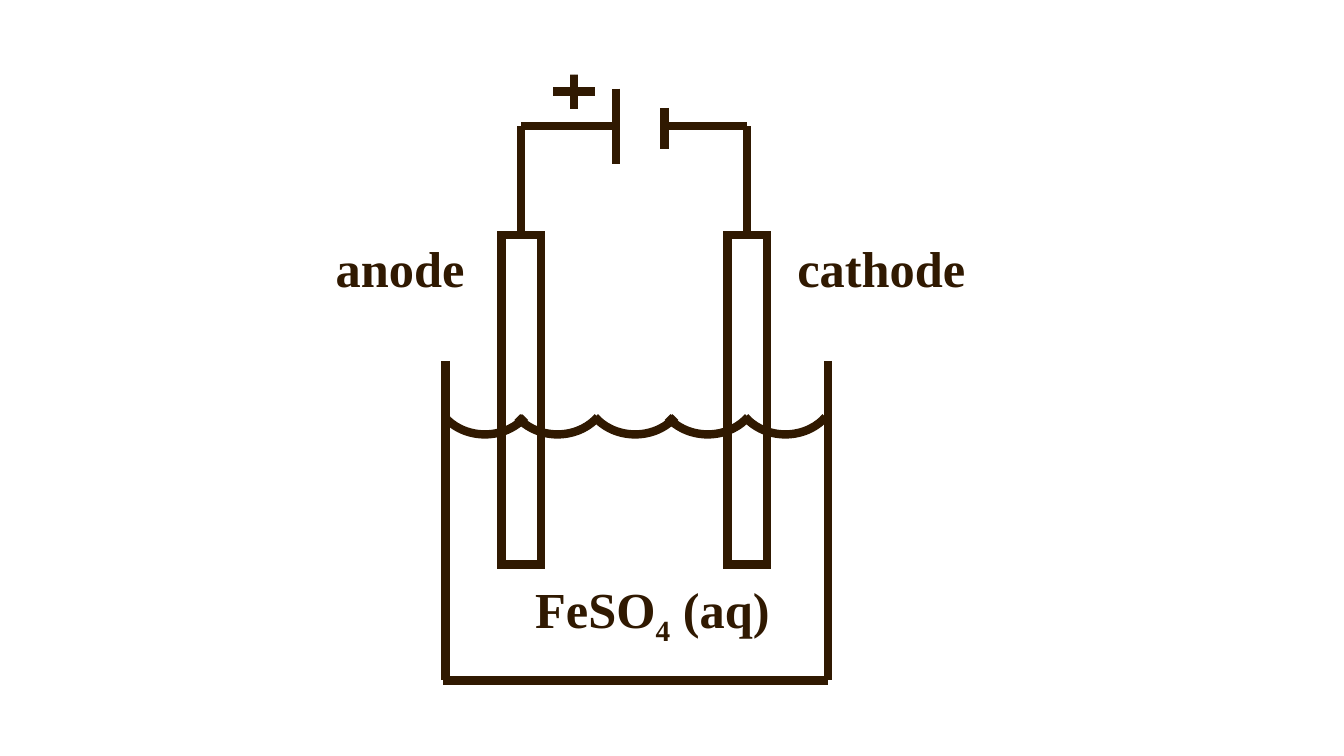
import pptx
import pptx.dml.color
import pptx.enum.shapes
import pptx.enum.text
import pptx.oxml
import pptx.oxml.ns
import pptx.util

Inches = pptx.util.Inches
SHAPES = pptx.enum.shapes.MSO_SHAPE
COLOURS = {"ink": "301901"}
FONT = "Times New Roman"
STROKE = 6

# Horizontal and vertical positions shared by the parts
BEAKER_LEFT, BEAKER_RIGHT, BEAKER_TOP, BEAKER_BOTTOM = 4.42, 8.21, 3.58, 6.75
ANODE_X, CATHODE_X = 5.17, 7.41
POSITIVE_X, NEGATIVE_X = 6.11, 6.59
WIRE_Y, ELECTRODE_TOP = 1.25, 2.33
ELECTRODE_WIDTH, ELECTRODE_HEIGHT = 0.39, 3.27

BEAKER = [
    (BEAKER_LEFT, BEAKER_TOP, BEAKER_LEFT, BEAKER_BOTTOM),
    (BEAKER_RIGHT, BEAKER_BOTTOM, 4.39, BEAKER_BOTTOM),
    (BEAKER_RIGHT, BEAKER_TOP, BEAKER_RIGHT, BEAKER_BOTTOM),
]
CIRCUIT = [
    (ANODE_X, WIRE_Y, ANODE_X, ELECTRODE_TOP),
    (CATHODE_X, WIRE_Y, CATHODE_X, ELECTRODE_TOP),
    (ANODE_X, WIRE_Y, POSITIVE_X, WIRE_Y),
    (NEGATIVE_X, WIRE_Y, CATHODE_X, WIRE_Y),
    (POSITIVE_X, 0.88, POSITIVE_X, 1.63),
    (NEGATIVE_X, 1.07, NEGATIVE_X, 1.48),
]
WAVE_LEFTS = [4.31, 5.03, 5.8, 6.52, 7.29]
WAVE_ANGLES = (33.36, 146.6)
ARC_UNITS_PER_DEGREE = 0.6
PLUS_SIGN = (5.53, 0.74, 0.33, 0.34)

# Each label: box, then runs of (text, baseline shift in percent)
LABELS = [
    ((3.23, 2.3, 1.52, 0.71), [("anode", 0)]),
    ((7.81, 2.3, 1.9, 0.71), [("cathode", 0)]),
    ((5.21, 5.69, 2.57, 0.71), [("FeSO", 0), ("4", -25), (" (aq)", 0)]),
]


def ink():
    """Return the drawing colour."""
    return pptx.dml.color.RGBColor.from_string(COLOURS["ink"])


def stroke(part):
    """Give a part the thick line with mitred corners."""
    part.line.color.rgb = ink()
    part.line.width = pptx.util.Pt(STROKE)
    outline = part.line._get_or_add_ln()
    miter = pptx.oxml.parse_xml(
        "<a:miter %s lim='800000'/>" % pptx.oxml.ns.nsdecls("a"))
    outline.append(miter)


def add_line(slide, ends):
    """Draw a straight line between two points."""
    line = slide.shapes.add_connector(
        pptx.enum.shapes.MSO_CONNECTOR.STRAIGHT, *map(Inches, ends))
    stroke(line)
    line._element.spPr.append(pptx.oxml.parse_xml(
        "<a:effectLst %s/>" % pptx.oxml.ns.nsdecls("a")))


def add_outline(slide, kind, box, adjustments=(), filled=False):
    """Draw a preset shape, hollow unless filled."""
    shape = slide.shapes.add_shape(kind, *map(Inches, box))
    for place, value in enumerate(adjustments):
        shape.adjustments[place] = value
    if filled:
        shape.fill.solid()
        shape.fill.fore_color.rgb = ink()
    else:
        shape.fill.background()
    stroke(shape)
    shape.shadow.inherit = False


def add_run(paragraph, text, size=36, bold=True, baseline=0):
    """Add formatted text, lowered or raised by the baseline percent."""
    run = paragraph.add_run()
    run.text = text
    run.font.name = FONT
    run.font.size = pptx.util.Pt(size)
    run.font.bold = bold
    run.font.color.rgb = ink()
    if baseline:
        run._r.get_or_add_rPr().set("baseline", str(baseline * 1000))


def add_label(slide, box, runs):
    """Place a one-line label made of several runs."""
    frame = slide.shapes.add_textbox(*map(Inches, box)).text_frame
    frame.word_wrap = False
    frame.auto_size = pptx.enum.text.MSO_AUTO_SIZE.SHAPE_TO_FIT_TEXT
    for text, baseline in runs:
        add_run(frame.paragraphs[0], text, baseline=baseline)


def build():
    """Draw the electrolysis cell and save it."""
    deck = pptx.Presentation()
    deck.slide_width, deck.slide_height = Inches(13.33), Inches(7.5)
    slide = deck.slides.add_slide(deck.slide_layouts[6])

    for ends in BEAKER:
        add_line(slide, ends)
    wave_span = [angle * ARC_UNITS_PER_DEGREE for angle in WAVE_ANGLES]
    for left in WAVE_LEFTS:
        add_outline(slide, SHAPES.ARC, (left, 3.44, 1, 0.87), wave_span)
    for centre in (ANODE_X, CATHODE_X):
        box = (centre - ELECTRODE_WIDTH / 2, ELECTRODE_TOP,
               ELECTRODE_WIDTH, ELECTRODE_HEIGHT)
        add_outline(slide, SHAPES.RECTANGLE, box)
    for ends in CIRCUIT:
        add_line(slide, ends)
    add_outline(slide, SHAPES.CROSS, PLUS_SIGN, [0.5], filled=True)
    for box, runs in LABELS:
        add_label(slide, box, runs)

    deck.save("out.pptx")


build()
